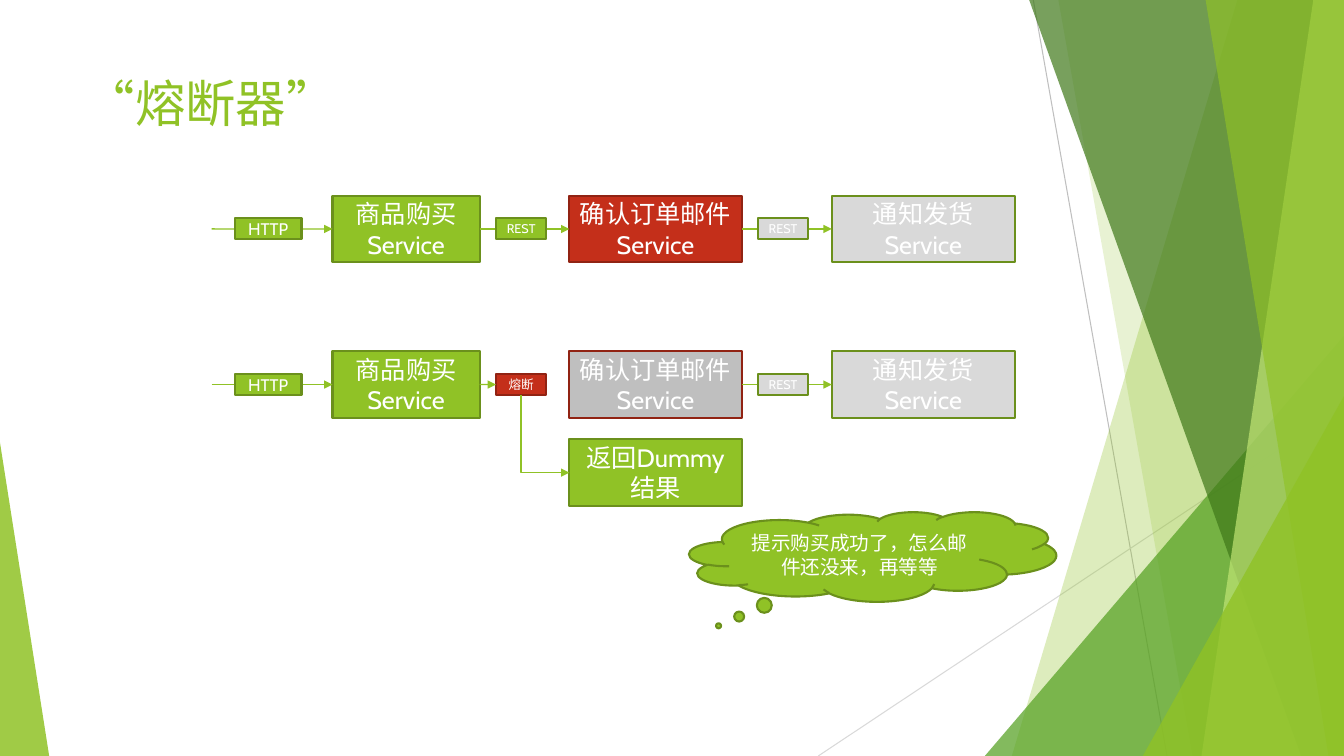
from lxml.etree import SubElement
from pptx import Presentation
from pptx.dml.color import RGBColor
from pptx.enum.shapes import MSO_CONNECTOR, MSO_SHAPE
from pptx.enum.text import MSO_ANCHOR, PP_ALIGN
from pptx.oxml.ns import qn
from pptx.util import Cm, Pt

FONT = "Cabin"
GREEN, MOSS = "90C226", "6B901C"
RED, WINE = "C42F1A", "912313"
PALE, GREY, WHITE = "D9D9D9", "BFBFBF", "FFFFFF"
RIGHT, BASE, TOP = 33.87, 19.05, -0.02
TALL, SHORT = 1.68, 0.53


def paint(target, color):
    if hasattr(target, "solid"):
        target.solid()
        target = target.fore_color
    target.rgb = RGBColor.from_string(color)


def write(para, text, size, color):
    run = para.add_run()
    run.text = text
    run.font.size = Pt(size)
    run.font.name = FONT
    paint(run.font.color, color)


def add_node(slide, kind, place, lines, size, fill=GREEN, edge=MOSS):
    node = slide.shapes.add_shape(kind, *map(Cm, place))
    node.shadow.inherit = False
    paint(node.fill, fill)
    paint(node.line.color, edge)
    node.line.width = Pt(1.5)
    frame = node.text_frame
    frame.word_wrap = True
    frame.vertical_anchor = MSO_ANCHOR.MIDDLE
    for i, line in enumerate(lines):
        para = frame.add_paragraph() if i else frame.paragraphs[0]
        para.alignment = PP_ALIGN.CENTER
        write(para, line, size, WHITE)
    return node


def add_box(slide, left, mid, width, height, lines, size, *colors):
    place = (left, mid - height / 2, width, height)
    return add_node(slide, MSO_SHAPE.RECTANGLE, place, lines, size, *colors)


def add_line(slide, ends, color, width, kind=MSO_CONNECTOR.STRAIGHT):
    line = slide.shapes.add_connector(kind, *map(Cm, ends))
    paint(line.line.color, color)
    line.line.width = Pt(width)
    SubElement(line._element.spPr, qn("a:effectLst"))
    return line


def add_arrow(slide, ends, kind=MSO_CONNECTOR.STRAIGHT):
    arrow = add_line(slide, ends, GREEN, 1, kind)
    SubElement(arrow.line._get_or_add_ln(), qn("a:tailEnd"), type="triangle")
    return arrow


def join(slide, mid, first, last):
    arrow = add_arrow(slide, (5.33, mid, 8.38, mid))
    if first:
        arrow.begin_connect(first, 3)
    arrow.end_connect(last, 1)


def add_bend(slide, start, end):
    wide, high = end[0] - start[0], end[1] - start[1]
    x, y = (start[0] + end[0]) / 2, (start[1] + end[1]) / 2
    ends = (x + high / 2, y - wide / 2, x - high / 2, y + wide / 2)
    bend = add_arrow(slide, ends, MSO_CONNECTOR.ELBOW)
    props = bend._element.spPr
    props.find(qn("a:xfrm")).set("rot", "16200000")
    props.find(qn("a:prstGeom")).set("prst", "bentConnector2")


def tint(shape, color, alpha):
    shape.shadow.inherit = False
    shape.line.fill.background()
    paint(shape.fill, color)
    tone = shape._element.spPr.find(qn("a:solidFill"))[0]
    SubElement(tone, qn("a:alpha"), val=str(alpha * 1000))


def add_band(slide, top, foot, color, alpha):
    points = [(RIGHT, TOP), (RIGHT, BASE), (foot, BASE)]
    pen = slide.shapes.build_freeform(Cm(top), Cm(TOP))
    pen.add_line_segments([(Cm(x), Cm(y)) for x, y in points], close=True)
    tint(pen.convert_to_shape(), color, alpha)


def add_wedge(slide, left, top, width, tip, color, alpha):
    place = map(Cm, (left, top, width, BASE - top))
    wedge = slide.shapes.add_shape(MSO_SHAPE.ISOSCELES_TRIANGLE, *place)
    wedge.adjustments[0] = tip
    tint(wedge, color, alpha)


def add_decor(slide):
    add_line(slide, (26.04, 0, 29.41, BASE), GREY, 0.75)
    add_line(slide, (RIGHT, 10.24, 20.62, BASE), PALE, 0.75)
    add_band(slide, 31.19, 25.5, GREEN, 30)
    add_band(slide, 26.67, 30.05, GREEN, 20)
    add_wedge(slide, 24.82, 8.46, 9.05, 1, "54A021", 72)
    add_band(slide, 25.93, 32.79, "3F7819", 70)
    add_band(slide, 33.1, 30.28, "C0E474", 70)
    add_band(slide, 30.38, 33.48, GREEN, 65)
    add_wedge(slide, 28.8, 9.98, 5.07, 1, GREEN, 80)
    add_wedge(slide, 0, 11.15, 1.24, 0, GREEN, 85)


def add_title(slide, text):
    title = slide.shapes.title
    title.left, title.top = Cm(1.88), Cm(1.7)
    title.width, title.height = Cm(23.88), Cm(3.66)
    title.text_frame.vertical_anchor = MSO_ANCHOR.TOP
    para = title.text_frame.paragraphs[0]
    para.alignment = PP_ALIGN.LEFT
    write(para, text, 36, GREEN)


def add_flow(slide, mid, fill, broken):
    buy = add_box(slide, 8.38, mid, 3.71, TALL, ["商品购买Service"], 18)
    mail = add_box(slide, 14.35, mid, 4.34, TALL,
                   ["确认订单邮件", "Service"], 18, fill, WINE)
    ship = add_box(slide, 20.96, mid, 4.62, TALL, ["通知发货Service"], 18, PALE)
    join(slide, mid, None, buy)
    join(slide, mid, mail, ship)
    if not broken:
        join(slide, mid, buy, mail)
    add_box(slide, 5.92, mid, 1.68, SHORT, ["HTTP"], 12)
    label, colors = ("熔断", (RED, WINE)) if broken else ("REST", (GREEN, MOSS))
    call = add_box(slide, 12.5, mid, 1.27, SHORT, [label], 9, *colors)
    if broken:
        join(slide, mid, buy, call)
    add_box(slide, 19.1, mid, 1.27, SHORT, ["REST"], 9, PALE)


def main():
    deck = Presentation()
    deck.slide_width, deck.slide_height = Cm(RIGHT), Cm(BASE)
    slide = deck.slides.add_slide(deck.slide_layouts[5])
    add_decor(slide)
    add_title(slide, "“熔断器”")
    add_flow(slide, 5.77, RED, False)
    add_flow(slide, 9.69, GREY, True)
    add_box(slide, 14.35, 11.91, 4.34, TALL, ["返回Dummy结果"], 18)
    add_bend(slide, (13.13, 9.96), (14.35, 11.91))
    cloud = add_node(slide, MSO_SHAPE.CLOUD_CALLOUT, (17.37, 12.9, 9.25, 2.26),
                     ["提示购买成功了，怎么邮件还没来，再等等"], 14)
    cloud.adjustments[0], cloud.adjustments[1] = -0.42, 0.77
    deck.save("out.pptx")


if __name__ == "__main__":
    main()
